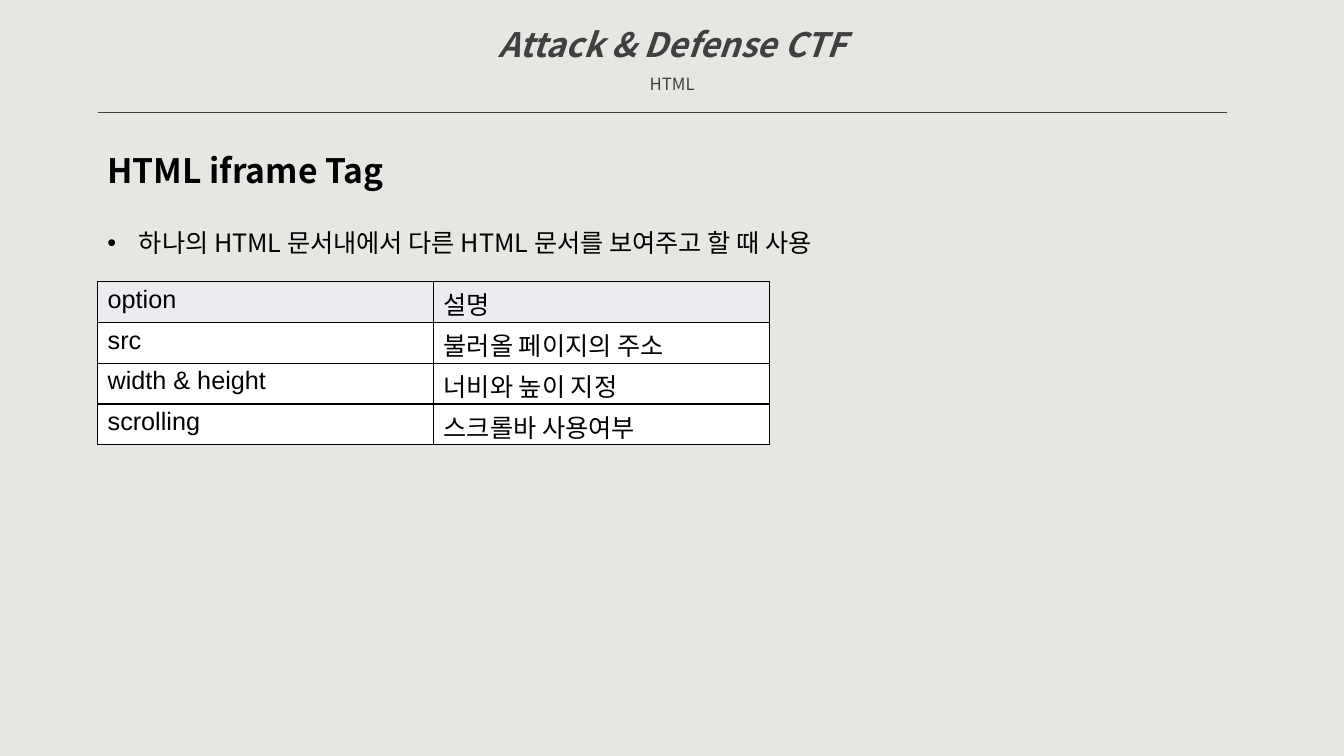
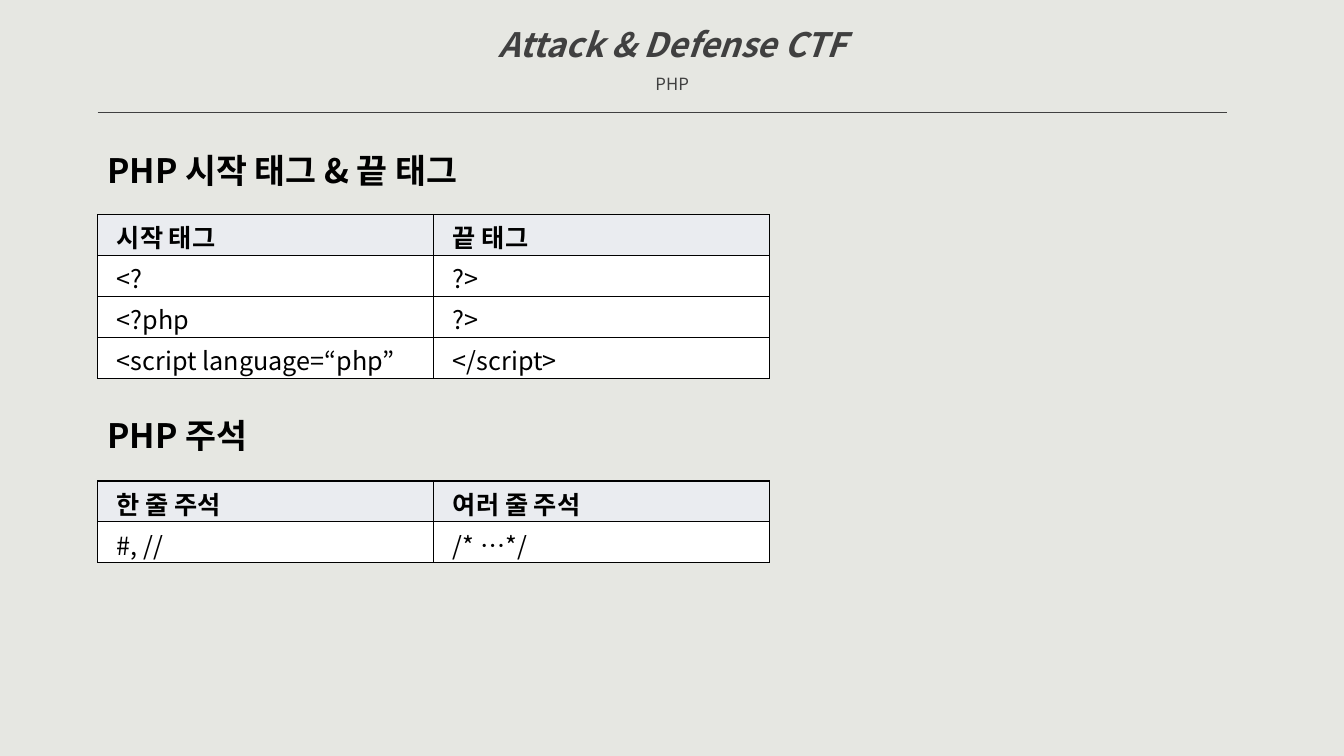
from lxml import etree
from pptx import Presentation
from pptx.dml.color import RGBColor
from pptx.enum import shapes, text
from pptx.oxml import ns
from pptx.util import Cm, Pt

COLORS = {"background": "E6E7E2", "header": "404040", "text": "000000",
          "head_row": "EAECF0", "row": "FFFFFF"}
KOREAN, LATIN = "Noto Sans CJK KR", "Arial"
COURSE = "Attack & Defense CTF"

# Lengths in centimetres
LEFT, RULE_RIGHT, RULE_TOP = 2.46, 30.91, 2.82
COLUMN_WIDTH, ROW_HEIGHT = 8.47, 1.03
HEADING_HEIGHT = 1.27

STYLES = {
    "course": {"size": Pt(24), "bold": True, "italic": True},
    "topic": {"size": Pt(12), "bold": False, "italic": False},
    "heading": {"size": Pt(24), "bold": True},
    "body": {"size": Pt(18), "bold": False},
    "table_head": {"size": Pt(18), "bold": True},
}

SLIDES = [
    {"topic": "HTML",
     "headings": [("HTML iframe Tag", 3.66, 7.57)],
     "bullets": [("하나의 HTML 문서내에서 다른 HTML 문서를 보여주고 할 때 사용", 4.95, 20.22)],
     "tables": [{"top": 7.09, "font": LATIN, "head": "body", "indent": 0,
                 "rows": [("option", "설명"),
                          ("src", "불러올 페이지의 주소"),
                          ("width & height", "너비와 높이 지정"),
                          ("scrolling", "스크롤바 사용여부")]}]},
    {"topic": "PHP",
     "headings": [("PHP 시작 태그 & 끝 태그", 3.66, 10.77), ("PHP 주석", 10.34, 4.24)],
     "bullets": [],
     "tables": [{"top": 5.41, "font": KOREAN, "head": "table_head", "indent": 0.23,
                 "rows": [("시작 태그", "끝 태그"),
                          ("<?", "?>"),
                          ("<?php", "?>"),
                          ("<script language=“php”", "</script>")]},
                {"top": 12.12, "font": KOREAN, "head": "table_head", "indent": 0.23,
                 "rows": [("한 줄 주석", "여러 줄 주석"),
                          ("#, //", "/* …*/")]}]},
]


def color(name):
    return RGBColor.from_string(COLORS[name])


def style_paragraph(paragraph, style, color_name="text", font=KOREAN):
    """Format every run, naming the East Asian font as well as the Latin one."""
    for run in paragraph.runs:
        for attribute, value in STYLES[style].items():
            setattr(run.font, attribute, value)
        run.font.color.rgb = color(color_name)
        run.font.name = font
        east_asian = etree.SubElement(run.font._element, ns.qn("a:ea"))
        east_asian.set("typeface", KOREAN)


def set_indent(paragraph, left, first=0):
    properties = paragraph._p.get_or_add_pPr()
    properties.set("marL", str(Cm(left)))
    properties.set("indent", str(Cm(first)))
    return properties


def add_header(slide, topic):
    title = slide.shapes.title
    title.left, title.top, title.width, title.height = Cm(8.94), Cm(0), Cm(16), Cm(2.46)
    frame = title.text_frame
    frame.text = f"{COURSE}\n{topic}"
    frame.auto_size = text.MSO_AUTO_SIZE.NONE
    frame.vertical_anchor = text.MSO_ANCHOR.MIDDLE
    for paragraph, style in zip(frame.paragraphs, ("course", "topic")):
        paragraph.alignment = text.PP_ALIGN.CENTER
        paragraph.line_spacing = 1.5
        style_paragraph(paragraph, style, "header")

    rule = slide.shapes.add_connector(shapes.MSO_CONNECTOR.STRAIGHT, Cm(LEFT), Cm(RULE_TOP),
                                      Cm(RULE_RIGHT), Cm(RULE_TOP))
    rule.line.color.rgb = color("header")
    rule.line.width = Pt(0.5)
    etree.SubElement(rule._element.spPr, ns.qn("a:effectLst"))


def add_line(slide, words, top, width, height, style):
    """Add a one-line text box at the left margin and return its paragraph."""
    box = slide.shapes.add_textbox(Cm(LEFT), Cm(top), Cm(width), Cm(height))
    frame = box.text_frame
    frame.text = words
    frame.word_wrap = False
    frame.vertical_anchor = text.MSO_ANCHOR.MIDDLE
    paragraph = frame.paragraphs[0]
    style_paragraph(paragraph, style)
    return paragraph


def add_bullet(slide, words, top, width):
    paragraph = add_line(slide, words, top, width, 1.55, "body")
    paragraph.line_spacing = 2.0
    properties = set_indent(paragraph, 0.79, -0.79)
    etree.SubElement(properties, ns.qn("a:buFont")).set("typeface", LATIN)
    etree.SubElement(properties, ns.qn("a:buChar")).set("char", "•")


def add_borders(cell):
    properties = cell._tc.get_or_add_tcPr()
    for index, side in enumerate(("lnL", "lnR", "lnT", "lnB")):
        line = etree.Element(ns.qn(f"a:{side}"), w=str(Pt(1)))
        fill = etree.SubElement(line, ns.qn("a:solidFill"))
        etree.SubElement(fill, ns.qn("a:srgbClr")).set("val", COLORS["text"])
        properties.insert(index, line)


def add_table(slide, top, font, head, indent, rows):
    column_count = len(rows[0])
    frame = slide.shapes.add_table(len(rows), column_count, Cm(LEFT), Cm(top),
                                   Cm(COLUMN_WIDTH * column_count), Cm(ROW_HEIGHT * len(rows)))
    for row_index, row in enumerate(rows):
        is_head = row_index == 0
        for column_index, words in enumerate(row):
            cell = frame.table.cell(row_index, column_index)
            cell.text = words
            cell.margin_top, cell.margin_bottom = Cm(0.1), Cm(0)
            cell.fill.solid()
            cell.fill.fore_color.rgb = color("head_row" if is_head else "row")
            add_borders(cell)
            paragraph = cell.text_frame.paragraphs[0]
            set_indent(paragraph, indent)
            style_paragraph(paragraph, head if is_head else "body", font=font)


def main():
    presentation = Presentation()
    presentation.slide_width, presentation.slide_height = Cm(33.87), Cm(19.05)
    background = presentation.slide_master.background.fill
    background.solid()
    background.fore_color.rgb = color("background")
    title_only = presentation.slide_layouts.get_by_name("Title Only")

    for content in SLIDES:
        slide = presentation.slides.add_slide(title_only)
        add_header(slide, content["topic"])
        for words, top, width in content["headings"]:
            add_line(slide, words, top, width, HEADING_HEIGHT, "heading")
        for bullet in content["bullets"]:
            add_bullet(slide, *bullet)
        for table in content["tables"]:
            add_table(slide, **table)

    presentation.save("out.pptx")


if __name__ == "__main__":
    main()
